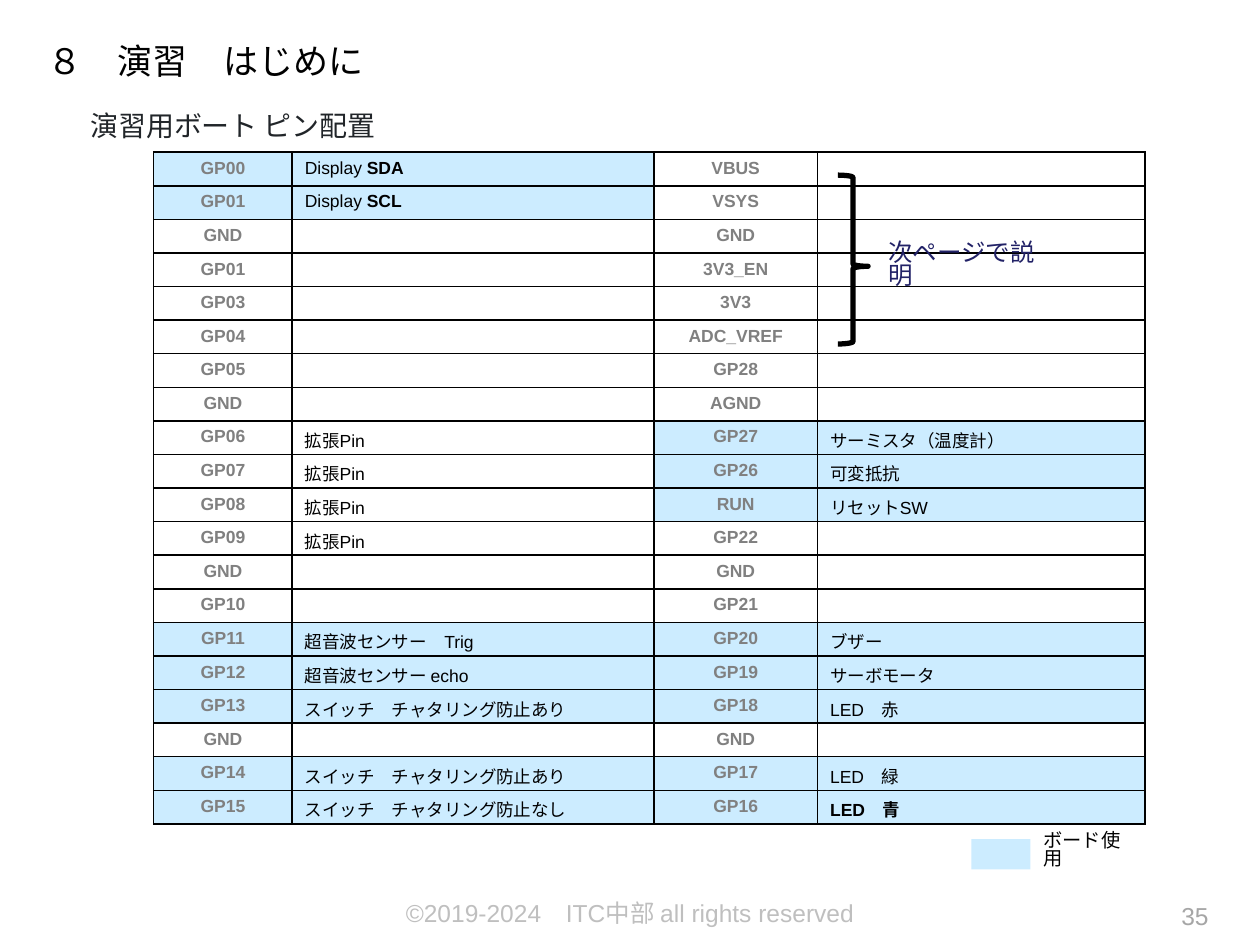
from lxml import etree
from pptx import Presentation
from pptx.dml.color import RGBColor
from pptx.enum.shapes import MSO_SHAPE as Shape
from pptx.enum.text import MSO_ANCHOR as Anchor, PP_ALIGN as Align
from pptx.oxml.ns import qn
from pptx.util import Pt

LATIN, JAPANESE = "Arial", "Noto Sans CJK JP"
BLACK, GREY, USED = "000000", "808080", "CCECFF"
EXTENSION = "拡張Pin"
COLUMN_WIDTHS = (79.2, 206.6, 93.6, 187.2)
ROW_HEIGHT = 19.2

# Left pin, its use, right pin, its use; the text after "|" is bold
PINS = [
    ("GP00", "Display |SDA", "VBUS", ""),
    ("GP01", "Display |SCL", "VSYS", ""),
    ("GND", "", "GND", ""),
    ("GP01", "", "3V3_EN", ""),
    ("GP03", "", "3V3", ""),
    ("GP04", "", "ADC_VREF", ""),
    ("GP05", "", "GP28", ""),
    ("GND", "", "AGND", ""),
    ("GP06", EXTENSION, "GP27", "サーミスタ（温度計）"),
    ("GP07", EXTENSION, "GP26", "可変抵抗"),
    ("GP08", EXTENSION, "RUN", "リセットSW"),
    ("GP09", EXTENSION, "GP22", ""),
    ("GND", "", "GND", ""),
    ("GP10", "", "GP21", ""),
    ("GP11", "超音波センサー　Trig", "GP20", "ブザー"),
    ("GP12", "超音波センサー echo", "GP19", "サーボモータ"),
    ("GP13", "スイッチ　チャタリング防止あり", "GP18", "LED　赤"),
    ("GND", "", "GND", ""),
    ("GP14", "スイッチ　チャタリング防止あり", "GP17", "LED　緑"),
    ("GP15", "スイッチ　チャタリング防止なし", "GP16", "|LED　青"),
]


def rgb(color):
    return RGBColor.from_string(color)


def add_span(para, text, size=10, color=BLACK, bold=False, font=LATIN):
    span = para.add_run()
    span.text = text
    span.font.size = Pt(size)
    span.font.bold = bold
    span.font.name = font
    span.font.color.rgb = rgb(color)
    properties = span.font._element
    east_asian = etree.Element(qn("a:ea"), typeface=JAPANESE)
    properties.find(qn("a:latin")).addnext(east_asian)


def add_text(page, text, left, top, width, height, align=Align.LEFT,
             anchor=Anchor.TOP, spacing=None, **style):
    box = page.shapes.add_textbox(Pt(left), Pt(top), Pt(width), Pt(height))
    frame = box.text_frame
    frame.word_wrap = True
    frame.vertical_anchor = anchor
    para = frame.paragraphs[0]
    para.alignment = align
    if spacing:
        para.line_spacing = spacing
    add_span(para, text, **style)


def add_preset(page, kind, left, top, width, height, fill=None, line=None, weight=1):
    shape = page.shapes.add_shape(kind, Pt(left), Pt(top), Pt(width), Pt(height))
    shape.shadow.inherit = False
    if fill:
        shape.fill.solid()
        shape.fill.fore_color.rgb = rgb(fill)
    else:
        shape.fill.background()
    if line:
        shape.line.color.rgb = rgb(line)
        shape.line.width = Pt(weight)
    else:
        shape.line.fill.background()
    return shape


def set_borders(cell, color, weight):
    properties = cell._tc.get_or_add_tcPr()
    for position, side in enumerate(("lnL", "lnR", "lnT", "lnB")):
        line = etree.Element(qn(f"a:{side}"), w=str(int(Pt(weight))))
        solid = etree.SubElement(line, qn("a:solidFill"))
        etree.SubElement(solid, qn("a:srgbClr"), val=color)
        properties.insert(position, line)


def format_cell(cell, used):
    cell.margin_bottom = 0
    if used:
        cell.fill.solid()
        cell.fill.fore_color.rgb = rgb(USED)
    else:
        cell.fill.background()
    set_borders(cell, BLACK, 1)


def fill_cell(cell, text, is_pin):
    para = cell.text_frame.paragraphs[0]
    if is_pin:
        para.alignment = Align.CENTER
        add_span(para, text, color=GREY, bold=True)
    elif text:
        plain, _, strong = text.partition("|")
        for part, bold in ((plain, False), (strong, True)):
            if part:
                add_span(para, part, bold=bold)
    else:
        # Keeps the empty line as low as the row
        etree.SubElement(para._p, qn("a:endParaRPr"), sz="1000")


def add_pin_table(page, left, top):
    frame = page.shapes.add_table(len(PINS), len(COLUMN_WIDTHS), Pt(left), Pt(top),
                                  Pt(sum(COLUMN_WIDTHS)), Pt(ROW_HEIGHT * len(PINS)))
    table = frame.table
    table.first_row = table.horz_banding = False
    for column, width in zip(table.columns, COLUMN_WIDTHS):
        column.width = Pt(width)
    for row_index, pins in enumerate(PINS):
        table.rows[row_index].height = Pt(ROW_HEIGHT)
        for column_index, text in enumerate(pins):
            cell = table.cell(row_index, column_index)
            is_pin = column_index % 2 == 0
            purpose = pins[column_index + 1] if is_pin else text
            format_cell(cell, used=purpose not in ("", EXTENSION))
            fill_cell(cell, text, is_pin)


def main():
    deck = Presentation()
    deck.slide_width, deck.slide_height = Pt(720), Pt(540)
    page = deck.slides.add_slide(deck.slide_layouts[6])

    # Footer
    add_text(page, "©2019-2024　ITC中部 all rights reserved", 0, 509.8, 720, 28.8,
             align=Align.CENTER, size=14, color="BFBFBF")
    add_text(page, "35", 535.7, 511.2, 162, 28.8,
             align=Align.RIGHT, size=14, color="A6A6A6")

    # Headings
    add_text(page, "８　演習　はじめに", 20.2, 15.1, 339.8, 38.9,
             anchor=Anchor.MIDDLE, size=20, font=JAPANESE)
    add_text(page, "演習用ボート ピン配置", 44.6, 58.3, 189.4, 26.6,
             size=16, color="212529", font=JAPANESE)

    # Pin assignment
    add_pin_table(page, 87.8, 87)

    # Legend
    add_preset(page, Shape.RECTANGLE, 555.1, 479.5, 33.8, 17.3, fill=USED)
    add_text(page, "ボード使用", 589, 475.9, 66.2, 20.9, anchor=Anchor.MIDDLE,
             spacing=0.8, size=11, font=JAPANESE)

    # Brace over the power pins
    brace = add_preset(page, Shape.RIGHT_BRACE, 478.8, 100.1, 17.3, 96.5,
                       line=BLACK, weight=3)
    brace.adjustments[0] = 0.08
    brace.adjustments[1] = 0.54
    add_text(page, "次ページで説明", 500.4, 139.7, 109.4, 24.5, anchor=Anchor.MIDDLE,
             spacing=0.8, size=14, color="222267", font=JAPANESE)

    deck.save("out.pptx")


if __name__ == "__main__":
    main()
